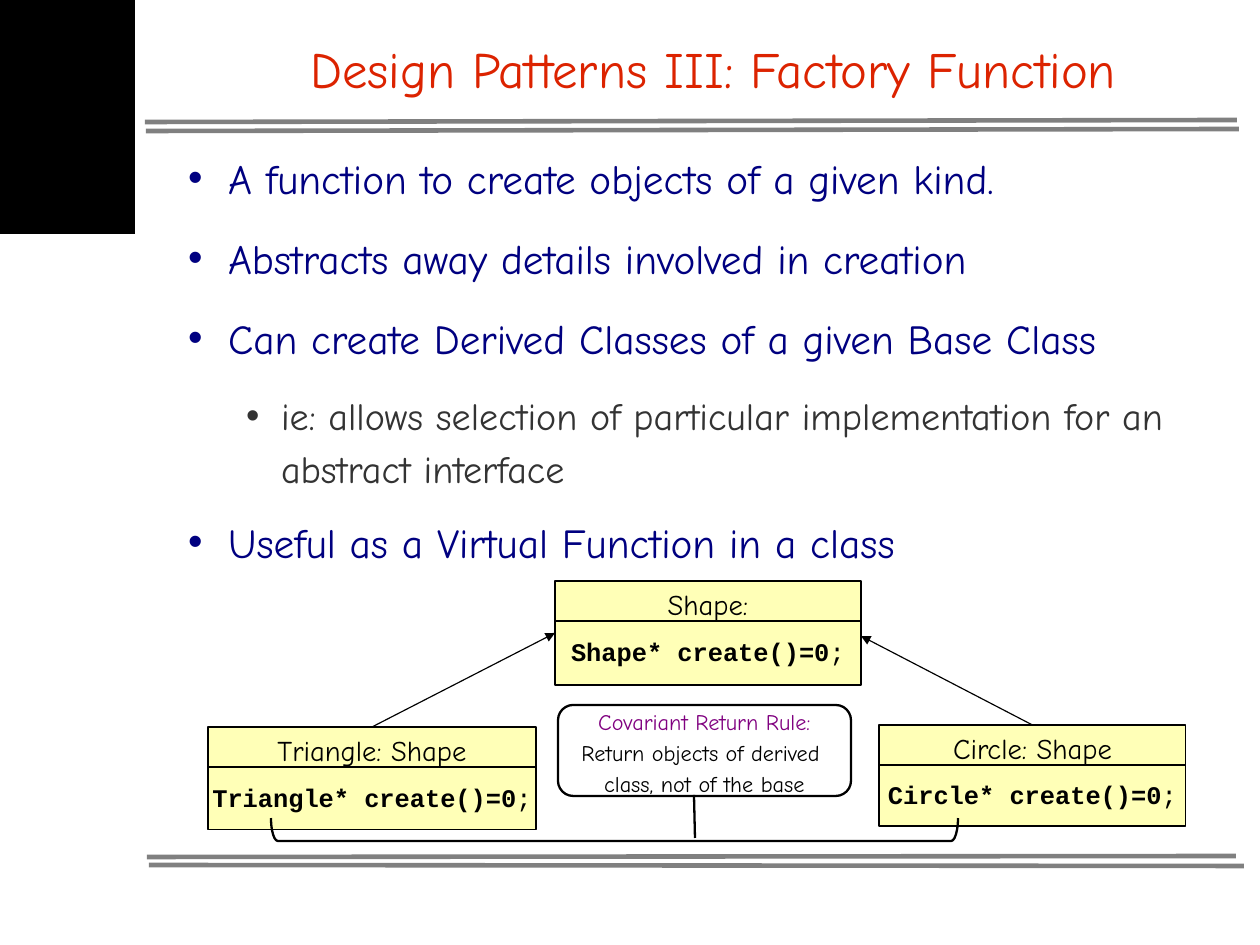
"""Build the Factory Function slide, with lengths in px of 8000 EMU."""
from lxml.etree import SubElement as Sub
from pptx import Presentation
from pptx.dml.color import RGBColor
from pptx.enum.shapes import MSO_CONNECTOR as Link, MSO_SHAPE as Kind
from pptx.enum.text import MSO_ANCHOR as Anchor, MSO_AUTO_SIZE as Fit, PP_ALIGN as Align
from pptx.oxml.ns import qn
from pptx.util import Emu, Pt

SCALE = 8000
BLACK = RGBColor(0x00, 0x00, 0x00)
GREY = RGBColor(0x80, 0x80, 0x80)
DARK = RGBColor(0x33, 0x33, 0x33)
RED = RGBColor(0xDC, 0x23, 0x00)
NAVY = RGBColor(0x00, 0x00, 0x80)
PLUM = RGBColor(0x80, 0x00, 0x80)
CREAM = RGBColor(0xFF, 0xFF, 0x99)
HAND = "Comic Neue"
CODE = "Courier New"
THIN, BOLD, RULE = 0.75, 1.45, 2.89

RULES = [(145, 122, 1237, 120), (146, 131, 1239, 129),
         (147, 857, 1236, 856), (149, 865, 1244, 866)]
TITLE = "Design Patterns III: Factory Function"
POINTS = [
    (0, "A function to create objects of a given kind."),
    (0, "Abstracts away details involved in creation"),
    (0, "Can create Derived Classes of a given Base Class"),
    (1, "ie: allows selection of particular implementation for an abstract interface"),
    (0, "Useful as a Virtual Function in a class"),
]
LEVELS = [
    {"size": 26, "color": NAVY, "left": 54, "hang": 40, "after": 14.2},
    {"size": 24, "color": DARK, "left": 107, "hang": 35, "after": 11.4},
]
NOTE = [("Covariant Return Rule:", PLUM), ("Return objects of derived ", BLACK),
        ("class, not of the base", BLACK)]


def px(num):
    """Turn px into EMU."""
    return Emu(round(num * SCALE))


def put(item, **vals):
    """Set each named attribute of an item."""
    for name, val in vals.items():
        setattr(item, name, val)


def place(shape, box):
    """Move a shape to its box."""
    put(shape, **dict(zip(("left", "top", "width", "height"), map(px, box))))


def setup(frame, pad=(0, 0), wrap=True, anchor=Anchor.MIDDLE):
    """Set the insets, wrapping and anchor of a text frame."""
    side, end = map(px, pad)
    put(frame, auto_size=Fit.NONE, word_wrap=wrap, vertical_anchor=anchor,
        margin_left=side, margin_right=side, margin_top=end, margin_bottom=end)


def write(para, text, size, color, font=HAND, bold=False):
    """Add one formatted run to a paragraph."""
    run = para.add_run()
    run.text = text
    put(run.font, size=Pt(size), name=font, bold=bold)
    run.font.color.rgb = color


def paras(frame, count):
    """Return the given number of paragraphs of an empty frame."""
    return [frame.paragraphs[0]] + [frame.add_paragraph() for _ in range(count - 1)]


def line(slide, ends, width, color=BLACK, arrow=False, start=None):
    """Draw a straight line, perhaps from the top of a shape."""
    link = slide.shapes.add_connector(Link.STRAIGHT, *map(px, ends))
    if start is not None:
        link.begin_connect(start, 0)
    link.line.width = Pt(width)
    link.line.color.rgb = color
    if arrow:
        Sub(link.line._get_or_add_ln(), qn("a:tailEnd"), type="triangle")
    Sub(link._element.spPr, qn("a:effectLst"))


def draw(slide, kind, box, width=None, fill=None, alpha=None):
    """Draw a preset shape with plain fill and black line."""
    shape = slide.shapes.add_shape(kind, *map(px, box))
    shape.shadow.inherit = False
    if fill is None:
        shape.fill.background()
    else:
        shape.fill.solid()
        shape.fill.fore_color.rgb = fill
    if alpha:
        tone = shape._element.spPr.find(qn("a:solidFill"))[0]
        Sub(tone, qn("a:alpha"), val=str(alpha * 1000))
    if width is None:
        shape.line.fill.background()
    else:
        shape.line.width = Pt(width)
        shape.line.color.rgb = BLACK
    return shape


def frame(slide):
    """Draw the double rules and the corner block."""
    for ends in RULES:
        line(slide, ends, RULE, GREY)
    draw(slide, Kind.RECTANGLE, (0, 0, 135, 234), fill=BLACK)


def head(slide, box):
    """Fill the title placeholder."""
    title = slide.shapes.title
    place(title, box)
    setup(title.text_frame)
    para = title.text_frame.paragraphs[0]
    put(para, alignment=Align.CENTER, line_spacing=1.16)
    write(para, TITLE, 32, RED)


def body(slide, box):
    """Fill the body placeholder with the bullet list."""
    hold = slide.placeholders[1]
    place(hold, box)
    setup(hold.text_frame, anchor=Anchor.TOP)
    for para, (rank, text) in zip(paras(hold.text_frame, len(POINTS)), POINTS):
        look = LEVELS[rank]
        put(para, level=rank, line_spacing=1.16, space_before=Pt(0),
            space_after=Pt(look["after"]))
        prop = para._p.get_or_add_pPr()
        prop.set("marL", str(px(look["left"])))
        prop.set("indent", str(px(-look["hang"])))
        Sub(prop, qn("a:buChar"), char="•")
        write(para, text, look["size"], look["color"])


def card(slide, box, name, call, width=THIN):
    """Draw a class box and return its name part."""
    x, y, w, h = box
    top = 40
    low = draw(slide, Kind.RECTANGLE, (x, y + top, w, h - top), width, CREAM, 70)
    cap = draw(slide, Kind.RECTANGLE, (x, y, w, top), width, CREAM, 70)
    for part, gap in ((low, 0.95), (cap, 1.16)):
        setup(part.text_frame, (11, 6), wrap=False)
        put(part.text_frame.paragraphs[0], alignment=Align.CENTER, line_spacing=gap)
    sign = low.text_frame.paragraphs[0]
    write(sign, call, 16, BLACK, CODE, True)
    write(sign, ";", 16, BLACK, CODE)
    write(cap.text_frame.paragraphs[0], name, 18, BLACK)
    return cap


def curl(slide, box):
    """Draw a bracket that opens upward and fills its box."""
    x, y, w, h = box
    shape = draw(slide, Kind.LEFT_BRACKET,
                 (x + (w - h) / 2, y + (h - w) / 2, h, w), BOLD)
    shape.rotation = 270
    shape.adjustments[0] = 0.3


def note(slide, box):
    """Draw the rule note and its stem."""
    x, y, w, h = box
    line(slide, (x + 136, y + 90, x + 137, y + 133), BOLD)
    pane = draw(slide, Kind.ROUNDED_RECTANGLE, box, BOLD)
    pane.adjustments[0] = 0.167
    setup(pane.text_frame, (13, 7))
    for para, (text, color) in zip(paras(pane.text_frame, len(NOTE)), NOTE):
        put(para, alignment=Align.CENTER, line_spacing=1.16)
        write(para, text, 14, color)


def tree(slide, box):
    """Draw the class tree inside its box."""
    x, y, w, h = box
    ring = card(slide, (x + w - 307, y + 144, 307, 101), "Circle: Shape", "Circle* create()=0")
    tri = card(slide, (x, y + 146, 328, 103), "Triangle: Shape", "Triangle* create()=0")
    card(slide, (x + 347, y, 306, 104), "Shape:", "Shape* create()=0", BOLD)
    line(slide, (x + 164, y + 146, x + 347, y + 52), THIN, arrow=True, start=tri)
    line(slide, (x + 825, y + 144, x + 653, y + 55), THIN, arrow=True, start=ring)
    curl(slide, (x + 63, y + 237, 687, 23))
    note(slide, (x + 350, y + 124, 293, 91))


def main():
    """Build and save the slide."""
    deck = Presentation()
    put(deck, slide_width=px(1260), slide_height=px(945))
    slide = deck.slides.add_slide(deck.slide_layouts[1])
    frame(slide)
    head(slide, (179, 13, 1069, 101))
    body(slide, (174, 145, 1068, 430))
    tree(slide, (208, 581, 978, 260))
    deck.save("out.pptx")


if __name__ == "__main__":
    main()
